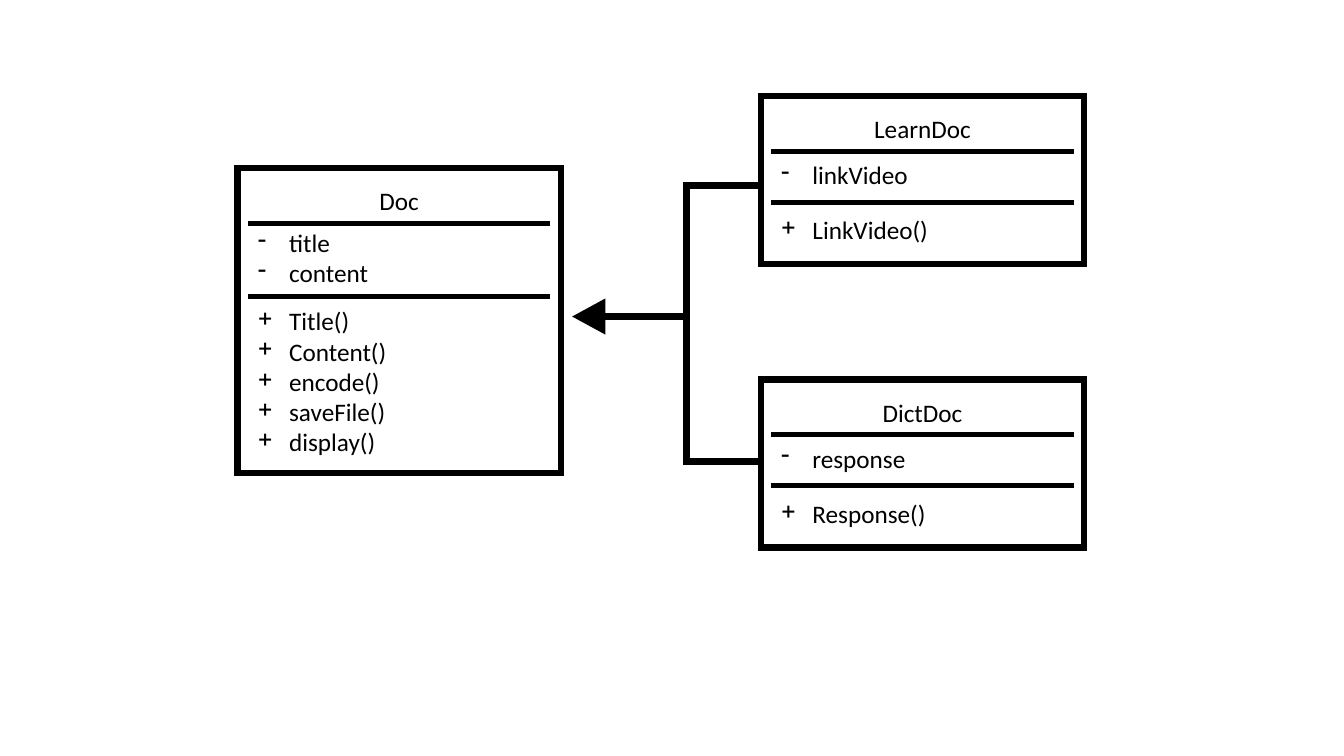
from pptx import Presentation
from pptx.dml.color import RGBColor
from pptx.enum.shapes import MSO_CONNECTOR as CONNECTOR, MSO_SHAPE as SHAPE
from pptx.enum.text import MSO_ANCHOR as ANCHOR, PP_ALIGN as ALIGN
from pptx.oxml.ns import qn
from pptx.util import Inches, Pt
from lxml.etree import SubElement

BLACK = RGBColor(0, 0, 0)
WHITE = RGBColor(255, 255, 255)
FONT = {"name": "Calibri", "size": Pt(18)}
GRID = Inches(0.1)  # one column or row

BOX_W, PAD = 32.1, 1.05
TITLE_TOP, TITLE_H = 1.25, 4
HEADER_H = 5.25
METHODS_GAP, BOTTOM_PAD = 0.55, 1
INDENT = 3.1
DIVIDER_PT, FRAME_PT, LINK_PT = 3.6, 4.5, 5.25

CLASSES = [
    # name, column, row, panel height, attributes, methods
    ("Doc", 23.55, 16.65, 21.7, ["title", "content"],
     ["Title()", "Content()", "encode()", "saveFile()", "display()"]),
    ("DictDoc", 75.45, 37.65, 4.4, ["response"], ["Response()"]),
    ("LearnDoc", 75.45, 9.5, 4.4, ["linkVideo"], ["LinkVideo()"]),
]

TRUNK_X, CHILD_X, SHAFT_X = 68.1, 75.3, 60
LEARN_Y, PARENT_Y, DICT_Y = 18.4, 31.4, 45.8
HEAD_X, HEAD_W, HEAD_H = 58.4, 3.6, 3.3


def grid(*cells):
    return [round(c * GRID) for c in cells]


def add_line(shapes, x1, y1, x2, y2, width):
    cn = shapes.add_connector(CONNECTOR.STRAIGHT, *grid(x1, y1, x2, y2))
    cn.line.color.rgb = BLACK
    cn.line.width = Pt(width)
    SubElement(cn._element.spPr, qn("a:effectLst"))


def add_block(shapes, kind, x, y, w, h, fill=None, line=None, line_pt=1):
    sp = shapes.add_shape(kind, *grid(x, y, w, h))
    sp.shadow.inherit = False
    for part, color in ((sp.fill, fill), (sp.line.fill, line)):
        if color is None:
            part.background()
        else:
            part.solid()
            part.fore_color.rgb = color
    if line is not None:
        sp.line.width = Pt(line_pt)
        SubElement(sp.line._get_or_add_ln(), qn("a:miter"), lim="800000")
    return sp


def set_bullet(p, char):
    pPr = p._p.get_or_add_pPr()
    indent = grid(INDENT)[0]
    pPr.set("marL", str(indent))
    pPr.set("indent", str(-indent))
    SubElement(pPr, qn("a:buChar"), char=char)


def add_text(shapes, x, y, w, h, lines, bullet=None):
    """Add one paragraph per line: bulleted, or centred without a bullet."""
    tf = shapes.add_textbox(*grid(x, y, w, h)).text_frame
    tf.word_wrap = True
    tf.vertical_anchor = ANCHOR.MIDDLE
    for i, line in enumerate(lines):
        p = tf.add_paragraph() if i else tf.paragraphs[0]
        r = p.add_run()
        r.text = line
        for name, value in FONT.items():
            setattr(r.font, name, value)
        r.font.color.rgb = BLACK
        if bullet:
            set_bullet(p, bullet)
        else:
            p.alignment = ALIGN.CENTER


def add_class(slide, name, x, y, panel_h, attributes, methods):
    shapes = slide.shapes.add_group_shape().shapes
    left, width = x + PAD, BOX_W - 2 * PAD
    attributes_h = 2.8 + 2.25 * len(attributes)
    methods_h = 2 + 2.83 * len(methods)
    attributes_y = y + HEADER_H
    divider_y = attributes_y + attributes_h
    methods_y = divider_y + METHODS_GAP

    add_block(shapes, SHAPE.RECTANGLE, left, y + TITLE_TOP, width, panel_h,
              fill=WHITE, line=WHITE)
    add_text(shapes, left, y + TITLE_TOP, width, TITLE_H, [name])
    add_text(shapes, left, attributes_y, width, attributes_h, attributes, "-")
    for top in (attributes_y, divider_y):
        add_line(shapes, left, top + 0.25, left + width, top + 0.25, DIVIDER_PT)
    add_text(shapes, left, methods_y, width, methods_h, methods, "+")
    add_block(shapes, SHAPE.RECTANGLE, x, y, BOX_W,
              methods_y + methods_h + BOTTOM_PAD - y,
              line=BLACK, line_pt=FRAME_PT)


def add_inheritance(slide):
    shapes = slide.shapes.add_group_shape().shapes
    half = LINK_PT / 72 / 0.1 / 2  # half a line width, to close the corners
    for y in (LEARN_Y, DICT_Y):
        add_line(shapes, TRUNK_X - half, y, CHILD_X, y, LINK_PT)
    add_line(shapes, TRUNK_X, LEARN_Y, TRUNK_X, DICT_Y, LINK_PT)
    add_line(shapes, SHAFT_X, PARENT_Y, TRUNK_X - half, PARENT_Y, LINK_PT)
    head = add_block(shapes, SHAPE.ISOSCELES_TRIANGLE, HEAD_X - HEAD_W / 2,
                     PARENT_Y - HEAD_H / 2, HEAD_W, HEAD_H, fill=BLACK)
    head.rotation = 270


def main():
    prs = Presentation()
    prs.slide_width, prs.slide_height = Inches(13.33), Inches(7.5)
    slide = prs.slides.add_slide(prs.slide_layouts[6])
    for item in CLASSES:
        add_class(slide, *item)
    add_inheritance(slide)
    prs.save("out.pptx")


if __name__ == "__main__":
    main()
